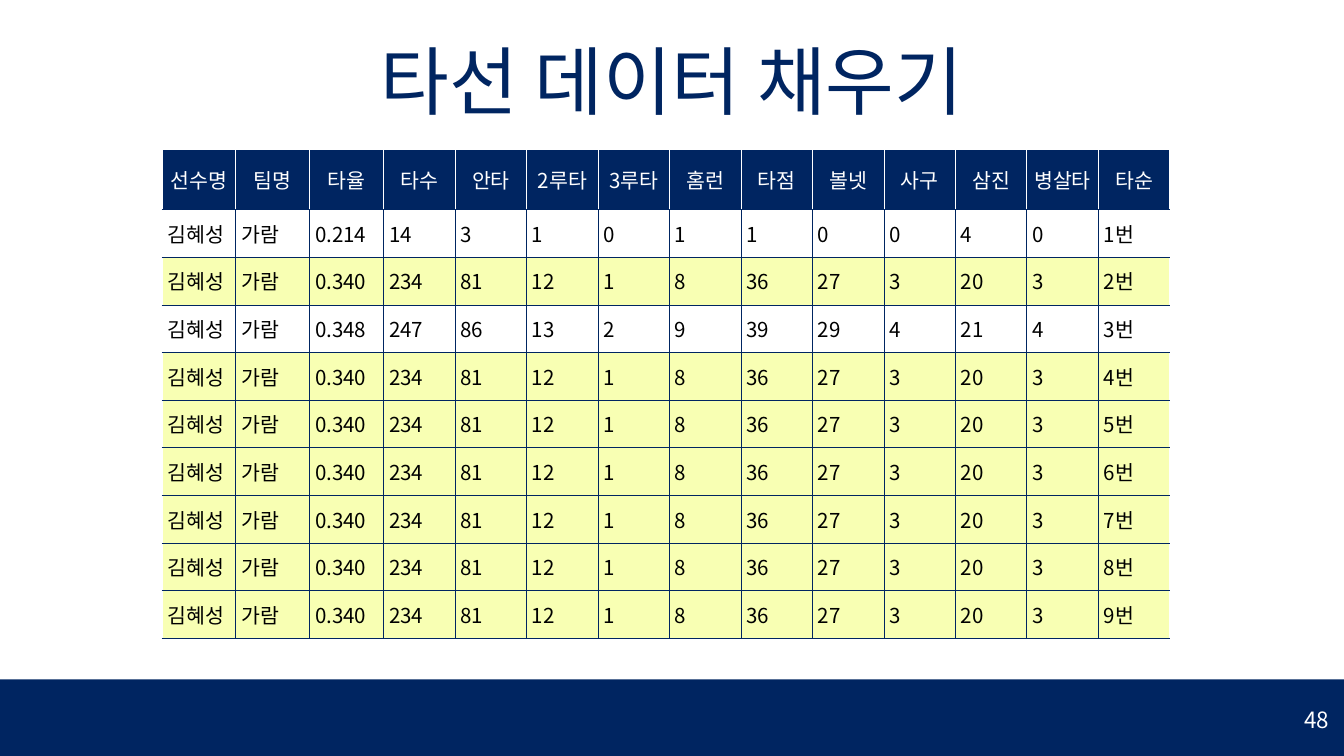
from pptx import Presentation
from pptx.dml.color import RGBColor
from pptx.enum.shapes import MSO_SHAPE as Shape
from pptx.enum.text import MSO_ANCHOR as Anchor, PP_ALIGN as Align
from pptx.oxml import parse_xml
from pptx.oxml.ns import nsdecls
from pptx.util import Inches, Pt

TITLE = "타선 데이터 채우기"
PAGE_NUMBER = "48"
HEADERS = ["선수명", "팀명", "타율", "타수", "안타", "2루타", "3루타",
           "홈런", "타점", "볼넷", "사구", "삼진", "병살타", "타순"]
PLAYER, TEAM = "김혜성", "가람"
FILLED = ["0.340", 234, 81, 12, 1, 8, 36, 27, 3, 20, 3]  # used where a batting slot has no record
RECORDS = {
    1: ["0.214", 14, 3, 1, 0, 1, 1, 0, 0, 4, 0],
    3: ["0.348", 247, 86, 13, 2, 9, 39, 29, 4, 21, 4],
}
SLOTS = range(1, 10)

THEME = {
    "font": "Noto Sans CJK KR",
    "navy": "002561", "white": "FFFFFF", "black": "000000", "filled": "F8FFB3",
    "title_size": 80, "table_size": 22, "page_size": 24, "border_width": 1,
}

TABLE_LEFT, TABLE_TOP, TABLE_WIDTH, TABLE_HEIGHT = 2.41, 2.22, 15, 7.28
HEADER_HEIGHT = 0.9
WIDE_COLUMNS, WIDE_WIDTH = 3, 1.1
CELL_MARGIN = 0.08


def rgb(color):
    return RGBColor.from_string(THEME[color])


def paint(target, color):
    target.fill.solid()
    target.fill.fore_color.rgb = rgb(color)


def write(frame, text, size, color, align):
    frame.text = text
    paragraph = frame.paragraphs[0]
    paragraph.alignment = align
    run = paragraph.runs[0]
    run.font.size = Pt(THEME[size])
    run.font.color.rgb = rgb(color)
    run.font.name = THEME["font"]
    # Korean glyphs take the East Asian typeface
    run.font._element.append(
        parse_xml(f'<a:ea {nsdecls("a")} typeface="{THEME["font"]}"/>'))


def add_label(slide, box, text, size, color, align, anchor):
    frame = slide.shapes.add_textbox(*map(Inches, box)).text_frame
    frame.word_wrap = True
    frame.vertical_anchor = anchor
    frame.margin_left = frame.margin_right = Inches(0.1)
    frame.margin_top = frame.margin_bottom = Inches(0.1)
    write(frame, text, size, color, align)


def add_borders(cell, sides):
    """Line the given sides (L, R, T, B in that order); call before filling."""
    properties = cell._tc.get_or_add_tcPr()
    for side in sides:
        properties.append(parse_xml(
            f'<a:ln{side} {nsdecls("a")} w="{Pt(THEME["border_width"])}">'
            f'<a:solidFill><a:srgbClr val="{THEME["navy"]}"/></a:solidFill>'
            f'</a:ln{side}>'))


def add_lineup(slide):
    rows = [HEADERS] + [
        [PLAYER, TEAM, *RECORDS.get(slot, FILLED), f"{slot}번"] for slot in SLOTS]
    last = len(HEADERS) - 1
    frame = slide.shapes.add_table(
        len(rows), len(HEADERS), Inches(TABLE_LEFT), Inches(TABLE_TOP),
        Inches(TABLE_WIDTH), Inches(TABLE_HEIGHT))
    table = frame.table
    table.horz_banding = False

    narrow = (TABLE_WIDTH - WIDE_COLUMNS * WIDE_WIDTH) / (len(HEADERS) - WIDE_COLUMNS)
    for c, column in enumerate(table.columns):
        column.width = Inches(WIDE_WIDTH if c < WIDE_COLUMNS else narrow)
    body_height = (TABLE_HEIGHT - HEADER_HEIGHT) / len(SLOTS)
    for r, row in enumerate(table.rows):
        row.height = Inches(body_height if r else HEADER_HEIGHT)

    for r, values in enumerate(rows):
        if r == 0:
            fill, ink, align = "navy", "white", Align.CENTER
        else:
            fill = "white" if r in RECORDS else "filled"
            ink, align = "black", Align.LEFT
        for c, value in enumerate(values):
            cell = table.cell(r, c)
            cell.margin_left = cell.margin_right = Inches(CELL_MARGIN)
            cell.vertical_anchor = Anchor.MIDDLE
            if r == 0:
                sides = "B"
            else:
                sides = ("L" if c > 0 else "") + ("R" if c < last else "") + "TB"
            add_borders(cell, sides)
            paint(cell, fill)
            write(cell.text_frame, str(value), "table_size", ink, align)


def main():
    deck = Presentation()
    deck.slide_width, deck.slide_height = Inches(20), Inches(11.25)
    slide = deck.slides.add_slide(deck.slide_layouts[6])

    footer = slide.shapes.add_shape(
        Shape.RECTANGLE, Inches(0), Inches(10.11), Inches(20), Inches(1.17))
    footer.shadow.inherit = False
    footer.line.fill.background()
    paint(footer, "navy")

    add_label(slide, (2.92, 0.42, 14.16, 1.65), TITLE,
              "title_size", "navy", Align.CENTER, Anchor.TOP)
    add_lineup(slide)
    add_label(slide, (17.58, 10.28, 2.3, 0.85), PAGE_NUMBER,
              "page_size", "white", Align.RIGHT, Anchor.MIDDLE)
    deck.save("out.pptx")


if __name__ == "__main__":
    main()
